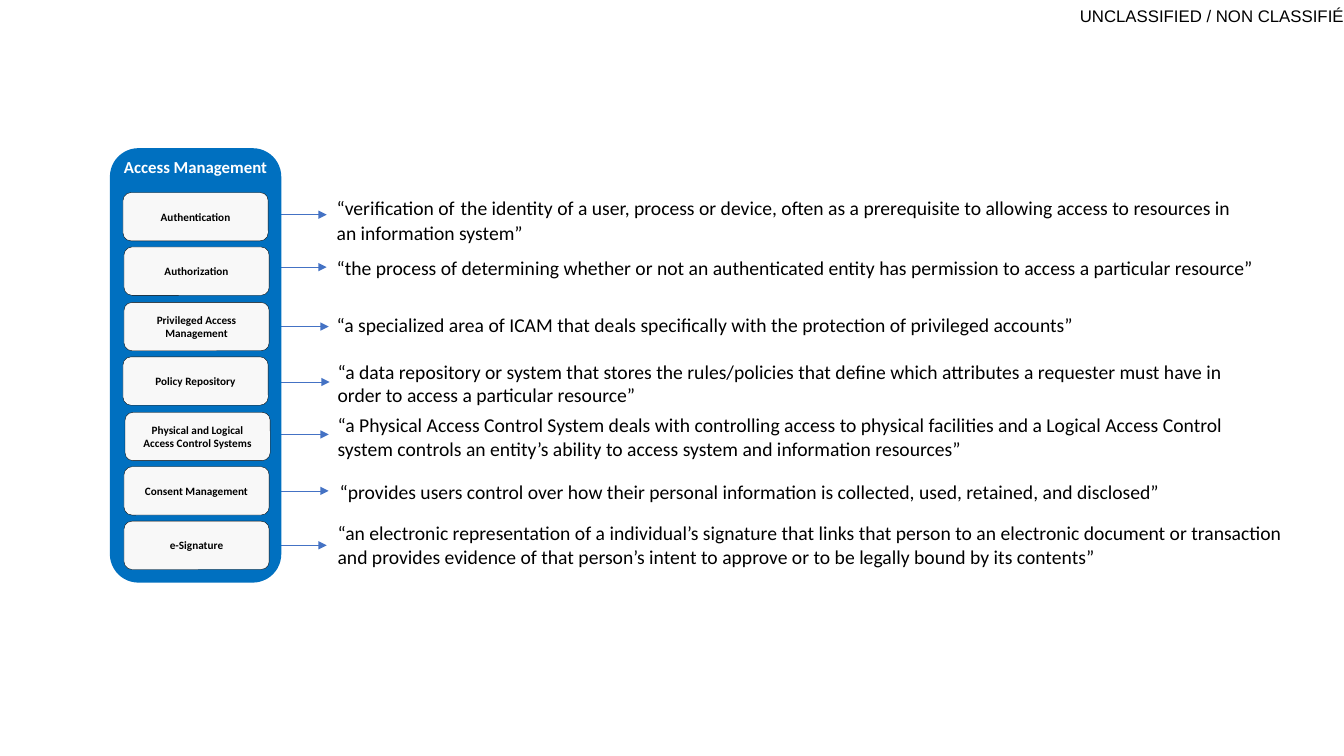
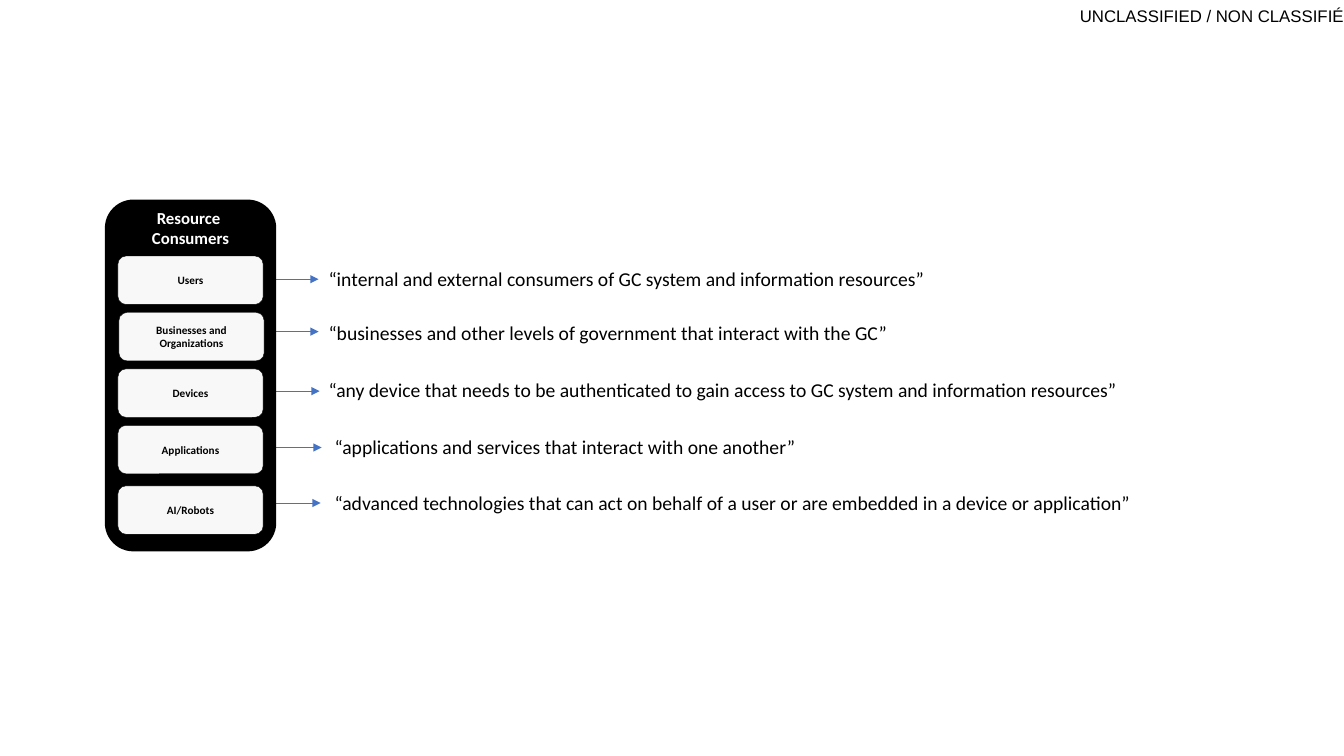
from pptx import Presentation
from pptx.dml.color import RGBColor
from pptx.enum.shapes import MSO_CONNECTOR as Connector, MSO_SHAPE as Preset
from pptx.enum.text import MSO_ANCHOR as Anchor, MSO_AUTO_SIZE as AutoSize, PP_ALIGN as Align
from pptx.oxml.ns import qn
from pptx.util import Pt
from lxml.etree import SubElement

PX = 9144
SLIDE_W, SLIDE_H = 1333, 750
PANEL_W = 170
BOX_W, BOX_H = 144, 48
ARROW_W = 48
LINE_H = 24
PADDING = 10

COLORS = {
    "ink": "000000",
    "paper": "FFFFFF",
    "box": "F8F8F8",
    "access": "0070C0",
    "consumers": "000000",
    "arrow": "4472C4",
}

FONTS = {
    "marking": {"name": "Arial", "size": 12, "bold": False, "color": "ink"},
    "heading": {"name": "Calibri", "size": 12, "bold": True, "color": "paper"},
    "box": {"name": "Calibri", "size": 8, "bold": True, "color": "ink"},
    "definition": {"name": "Calibri", "size": 14, "bold": False, "color": "ink"},
    "wide_space": {"name": "Calibri", "size": 18, "bold": False, "color": "ink"},
}

MARKING = "UNCLASSIFIED / NON CLASSIFIÉ"

# Each row: label, box (x, y), arrow (x, y), definition (x, y, width, lines), definition text
PANELS = [
    {
        "heading": ["Access Management"],
        "color": "access",
        "frame": (109, 147, PANEL_W, 431),
        "inset": 5,
        "rows": [
            ("Authentication", (122, 191), (276, 213), (324, 184, 908, 2),
             [("“verification of", "definition"), (" ", "wide_space"),
              ("the identity of a user, process or device, often as a prerequisite to "
               "allowing access to resources in an information system”", "definition")]),
            ("Authorization", (123, 245), (276, 265), (324, 249, 937, 1),
             "“the process of determining whether or not an authenticated entity has "
             "permission to access a particular resource”"),
            ("Privileged Access Management", (123, 300), (278, 324), (324, 306, 908, 1),
             "“a specialized area of ICAM that deals specifically with the protection of "
             "privileged accounts”"),
            ("Policy Repository", (122, 354), (279, 379), (325, 352, 908, 2),
             "“a data repository or system that stores the rules/policies that define which "
             "attributes a requester must have in order to access a particular resource”"),
            ("Physical and Logical Access Control Systems", (124, 409), (278, 431),
             (325, 405, 908, 2),
             "“a Physical Access Control System deals with controlling access to physical "
             "facilities and a Logical Access Control system controls an entity’s ability to "
             "access system and information resources”"),
            ("Consent Management", (123, 463), (278, 487), (327, 471, 908, 1),
             "“provides users control over how their personal information is collected, used, "
             "retained, and disclosed”"),
            ("e-Signature", (123, 517), (276, 541), (325, 512, 967, 2),
             "“an electronic representation of a individual’s signature that links that person "
             "to an electronic document or transaction and provides evidence of that person’s "
             "intent to approve or to be legally bound by its contents”"),
        ],
    },
    {
        "heading": ["Resource ", "Consumers"],
        "color": "consumers",
        "frame": (104, 198, PANEL_W, 349),
        "inset": 4,
        "rows": [
            ("Users", (117, 254), (268, 277), (316, 260, 908, 1),
             "“internal and external consumers of GC system and information resources”"),
            ("Businesses and Organizations", (118, 310), (268, 329), (316, 313, 908, 1),
             "“businesses and other levels of government that interact with the GC”"),
            ("Devices", (117, 366), (269, 388), (316, 370, 908, 1),
             "“any device that needs to be authenticated to gain access to GC system and "
             "information resources”"),
            ("Applications", (117, 422), (271, 444), (322, 427, 908, 1),
             "“applications and services that interact with one another”"),
            ("AI/Robots", (117, 482), (270, 499), (322, 482, 908, 1),
             "“advanced technologies that can act on behalf of a user or are embedded in a "
             "device or application”"),
        ],
    },
]


def emu(*lengths):
    return [length * PX for length in lengths]


def rgb(key):
    return RGBColor.from_string(COLORS[key])


def write(owner, paragraphs, style, align, anchor, insets=None, grow=False):
    frame = owner.text_frame
    settings = {"word_wrap": True, "vertical_anchor": anchor}
    if grow:
        settings["auto_size"] = AutoSize.SHAPE_TO_FIT_TEXT
    if insets:
        sides = ("margin_left", "margin_top", "margin_right", "margin_bottom")
        settings.update(zip(sides, emu(*insets)))
    for attribute, value in settings.items():
        setattr(frame, attribute, value)
    for index, content in enumerate(paragraphs):
        paragraph = frame.add_paragraph() if index else frame.paragraphs[0]
        paragraph.alignment = align
        pieces = [(content, style)] if isinstance(content, str) else content
        for words, piece_style in pieces:
            run = paragraph.add_run()
            run.text = words
            look = FONTS[piece_style]
            values = {"name": look["name"], "size": Pt(look["size"]), "bold": look["bold"]}
            for attribute, value in values.items():
                setattr(run.font, attribute, value)
            run.font.color.rgb = rgb(look["color"])


def add_rounded(slide, frame, fill, outlined=False):
    rounded = slide.shapes.add_shape(Preset.ROUNDED_RECTANGLE, *emu(*frame))
    rounded.shadow.inherit = False
    rounded.fill.solid()
    rounded.fill.fore_color.rgb = rgb(fill)
    if outlined:
        rounded.line.color.rgb = rgb("ink")
        rounded.line.width = Pt(0.25)
    else:
        rounded.line.fill.background()
    return rounded


def add_arrow(slide, x, y):
    arrow = slide.shapes.add_connector(Connector.STRAIGHT, *emu(x, y, x + ARROW_W, y))
    arrow.line.color.rgb = rgb("arrow")
    arrow.line.width = Pt(0.5)
    SubElement(arrow.line._get_or_add_ln(), qn("a:tailEnd"), type="triangle")
    SubElement(arrow._element.spPr, qn("a:effectLst"))


def add_definition(slide, x, y, width, lines, content):
    definition = slide.shapes.add_textbox(*emu(x, y, width, lines * LINE_H + PADDING))
    write(definition, [content], "definition", Align.LEFT, Anchor.TOP, grow=True)


def add_marking(slide):
    marking = slide.shapes.add_textbox(*emu(SLIDE_W - 302, 0, 302, 31))
    write(marking, [MARKING], "marking", Align.RIGHT, Anchor.MIDDLE, (0, 0, 0, 0))


def build_slide(deck, panel):
    slide = deck.slides.add_slide(deck.slide_layouts[6])
    add_marking(slide)
    for label, box_at, arrow_at, definition_at, content in panel["rows"]:
        add_definition(slide, *definition_at, content)
        add_arrow(slide, *arrow_at)
    column = add_rounded(slide, panel["frame"], panel["color"])
    inset = panel["inset"]
    write(column, panel["heading"], "heading", Align.CENTER, Anchor.TOP, (inset, 0, inset, 0))
    for label, box_at, *rest in panel["rows"]:
        box = add_rounded(slide, (*box_at, BOX_W, BOX_H), "box", outlined=True)
        write(box, [label], "box", Align.CENTER, Anchor.MIDDLE)


def main():
    deck = Presentation()
    deck.slide_width, deck.slide_height = emu(SLIDE_W, SLIDE_H)
    for panel in PANELS:
        build_slide(deck, panel)
    deck.save("out.pptx")


if __name__ == "__main__":
    main()
